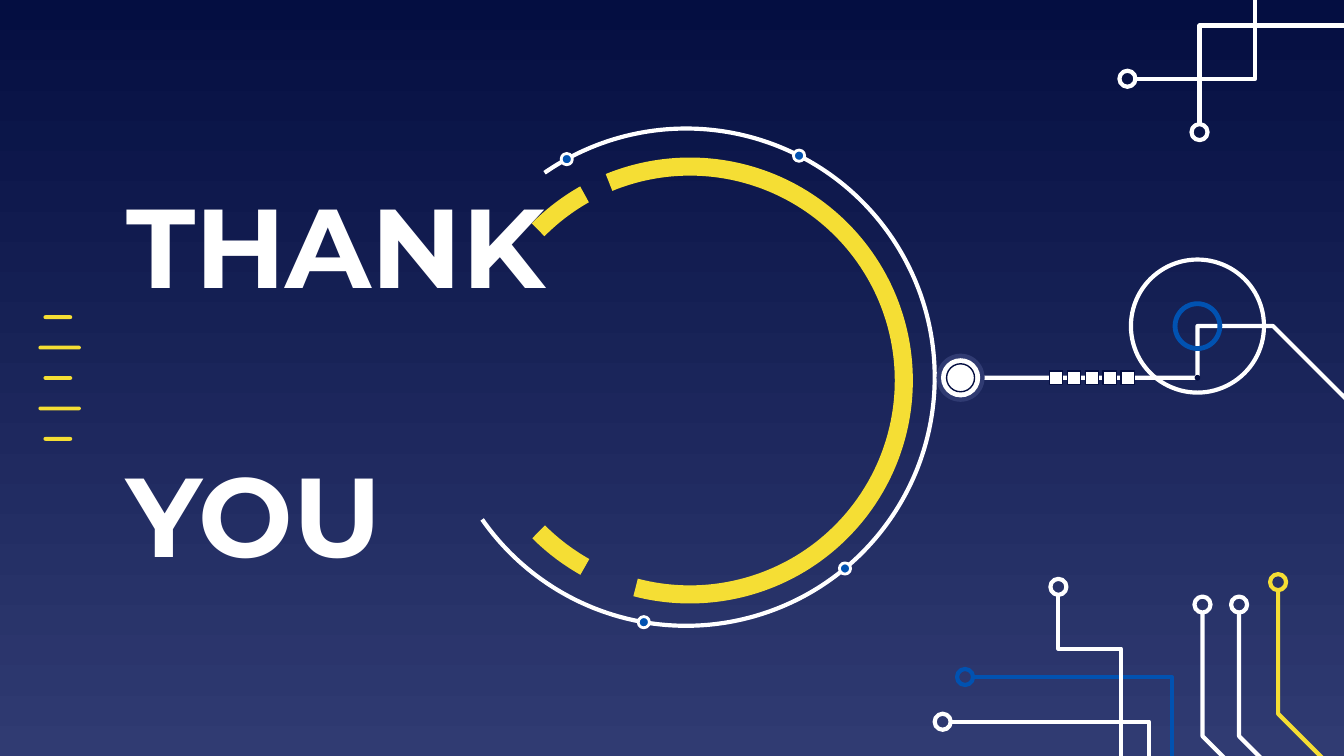
from math import cos, hypot, radians, sin

from pptx import Presentation
from pptx.dml.color import RGBColor
from pptx.enum import shapes, text
from pptx.util import Pt

NAVY = RGBColor(0x04, 0x0E, 0x41)
INDIGO = RGBColor(0x30, 0x3B, 0x72)
BLUE = RGBColor(0x01, 0x52, 0xB1)
YELLOW = RGBColor(0xF5, 0xDE, 0x34)
WHITE = RGBColor(0xFF, 0xFF, 0xFF)
FONT = "Montserrat"
WIDTH, HEIGHT = 720, 405
STROKE = 2.25
NODE = 8.6


def style(shape, fill=None, line=None, weight=STROKE):
    shape.shadow.inherit = False
    if fill is None:
        shape.fill.background()
    else:
        shape.fill.solid()
        shape.fill.fore_color.rgb = fill
    if line is None:
        shape.line.fill.background()
    else:
        shape.line.color.rgb = line
        shape.line.width = Pt(weight)
    return shape


def add_preset(slide, kind, x, y, width, height, **look):
    shape = slide.shapes.add_shape(kind, Pt(x), Pt(y), Pt(width), Pt(height))
    return style(shape, **look)


def add_circle(slide, x, y, size, **look):
    return add_preset(slide, shapes.MSO_SHAPE.OVAL,
                      x - size / 2, y - size / 2, size, size, **look)


def add_arc(slide, x, y, radius, start, end, color, weight):
    arc = add_preset(slide, shapes.MSO_SHAPE.ARC, x - radius, y - radius,
                     2 * radius, 2 * radius, line=color, weight=weight)
    arc.adjustments[0] = start * 0.6
    arc.adjustments[1] = end * 0.6


def add_path(slide, points, color):
    corners = [(Pt(x), Pt(y)) for x, y in points]
    builder = slide.shapes.build_freeform(*corners[0], scale=1.0)
    builder.add_line_segments(corners[1:], close=False)
    style(builder.convert_to_shape(), line=color)


def add_trace(slide, left, top, points, color):
    (x, y), (next_x, next_y), *rest = [(left + px, top + py) for px, py in points]
    add_circle(slide, x, y, NODE, line=color)
    share = NODE / 2 / hypot(next_x - x, next_y - y)
    edge = (x + (next_x - x) * share, y + (next_y - y) * share)
    add_path(slide, [edge, (next_x, next_y), *rest], color)


def add_text(slide, lines, x, y, width, height, size, color, bold=False, gap=0):
    frame = slide.shapes.add_textbox(Pt(x), Pt(y), Pt(width), Pt(height)).text_frame
    frame.word_wrap = True
    frame.vertical_anchor = text.MSO_ANCHOR.MIDDLE
    frame.margin_left = frame.margin_right = Pt(7.2)
    frame.margin_top = frame.margin_bottom = Pt(7.2)
    for index, line in enumerate(lines):
        paragraph = frame.paragraphs[0] if index == 0 else frame.add_paragraph()
        paragraph.space_before = Pt(gap if index else 0)
        run = paragraph.add_run()
        run.text = line
        run.font.name = FONT
        run.font.size = Pt(size)
        run.font.bold = bold
        run.font.color.rgb = color


def paint_background(slide):
    fill = slide.background.fill
    fill.gradient()
    fill.gradient_angle = 270
    for stop, color, position in zip(fill.gradient_stops, (NAVY, INDIGO), (0, 1)):
        stop.color.rgb = color
        stop.position = position


def draw_dashes(slide, left, top, count=5, step=16.3):
    for index in range(count):
        inset, width = ((0, 22.7) if index % 2 else (2.7, 15.4))
        dash = add_preset(slide, shapes.MSO_SHAPE.ROUNDED_RECTANGLE,
                          left + inset, top + index * step, width, 2, fill=YELLOW)
        dash.adjustments[0] = 0.5


def draw_top_circuit(slide, left, top):
    add_trace(slide, left, top, [(4, 42.2), (72.5, 42.2), (72.5, -37.4)], WHITE)
    add_trace(slide, left, top, [(42.6, 70.8), (42.6, 13.7), (127.6, 13.7),
                                 (127.6, -37.4)], WHITE)


def draw_bottom_circuit(slide, left, top):
    add_trace(slide, left, top, [(17, 62.7), (127.8, 62.7), (127.8, 149.3),
                                 (234.4, 149.3)], BLUE)
    for x, y in ((144.2, 23.9), (163.8, 23.9), (184.7, 11.9)):
        color = YELLOW if y < 20 else WHITE
        bend, far = y + 70.5, x + 32
        add_trace(slide, left, top, [(x, y), (x, bend), (far, bend + 32),
                                     (far, y + 154.8)], color)
    add_trace(slide, left, top, [(5, 86.7), (115.6, 86.7), (115.6, 173.2),
                                 (222, 173.2)], WHITE)
    add_trace(slide, left, top, [(67, 14.4), (67, 47.5), (100.5, 47.5),
                                 (100.5, 127.7)], WHITE)


def draw_rings(slide, left, top):
    yellow_x, yellow_y = left + 135.2, top + 135
    for start, end in ((119.4, 135), (247.8, 104.7), (224.8, 240.5)):
        add_arc(slide, yellow_x, yellow_y, 114.6, start, end, YELLOW, 9.7)
    radius = 133.2
    center_x, center_y = left + radius, top + radius
    add_arc(slide, center_x, center_y, radius, 235.3, 145.1, WHITE, STROKE)
    for angle in (297, 241.3, 50.3, 99.8):
        add_circle(slide, center_x + radius * cos(radians(angle)),
                   center_y + radius * sin(radians(angle)),
                   6, fill=BLUE, line=WHITE, weight=1.5)


def draw_switch(slide, left, top):
    hub_x, hub_y = left + 12.9, top + 63.4
    target_x, target_y = left + 139.8, top + 35.7
    bend_x, reach = left + 180.3, 48.2
    add_path(slide, [(bend_x + reach, target_y + reach), (bend_x, target_y),
                     (target_x, target_y), (target_x, hub_y),
                     (left + 19, hub_y)], WHITE)
    add_circle(slide, target_x, hub_y, 3, fill=NAVY)
    add_circle(slide, target_x, target_y, 71.3, line=WHITE)
    add_circle(slide, target_x, target_y, 24, line=BLUE, weight=2.57)
    add_circle(slide, hub_x, hub_y, 25.8, fill=INDIGO)
    add_circle(slide, hub_x, hub_y, 21, fill=WHITE)
    add_circle(slide, hub_x, hub_y, 15, fill=WHITE, line=NAVY, weight=0.75)
    for index in range(5):
        add_preset(slide, shapes.MSO_SHAPE.RECTANGLE, left + 60.5 + index * 9.6,
                   hub_y - 3.6, 7.2, 7.2, fill=WHITE, line=NAVY, weight=0.75)


def main():
    deck = Presentation()
    deck.slide_width, deck.slide_height = Pt(WIDTH), Pt(HEIGHT)
    slide = deck.slides.add_slide(deck.slide_layouts[6])
    paint_background(slide)
    draw_dashes(slide, 20.6, 168.9)
    draw_top_circuit(slide, 600, 0)
    draw_bottom_circuit(slide, 500, 300)
    add_text(slide, ["THANK", "YOU"], 60.5, 111.8, 363.6, 181.4,
             size=60, color=WHITE, bold=True, gap=72.4)
    draw_rings(slide, 234.4, 68.9)
    draw_switch(slide, 501.7, 139)
    deck.save("out.pptx")


if __name__ == "__main__":
    main()
